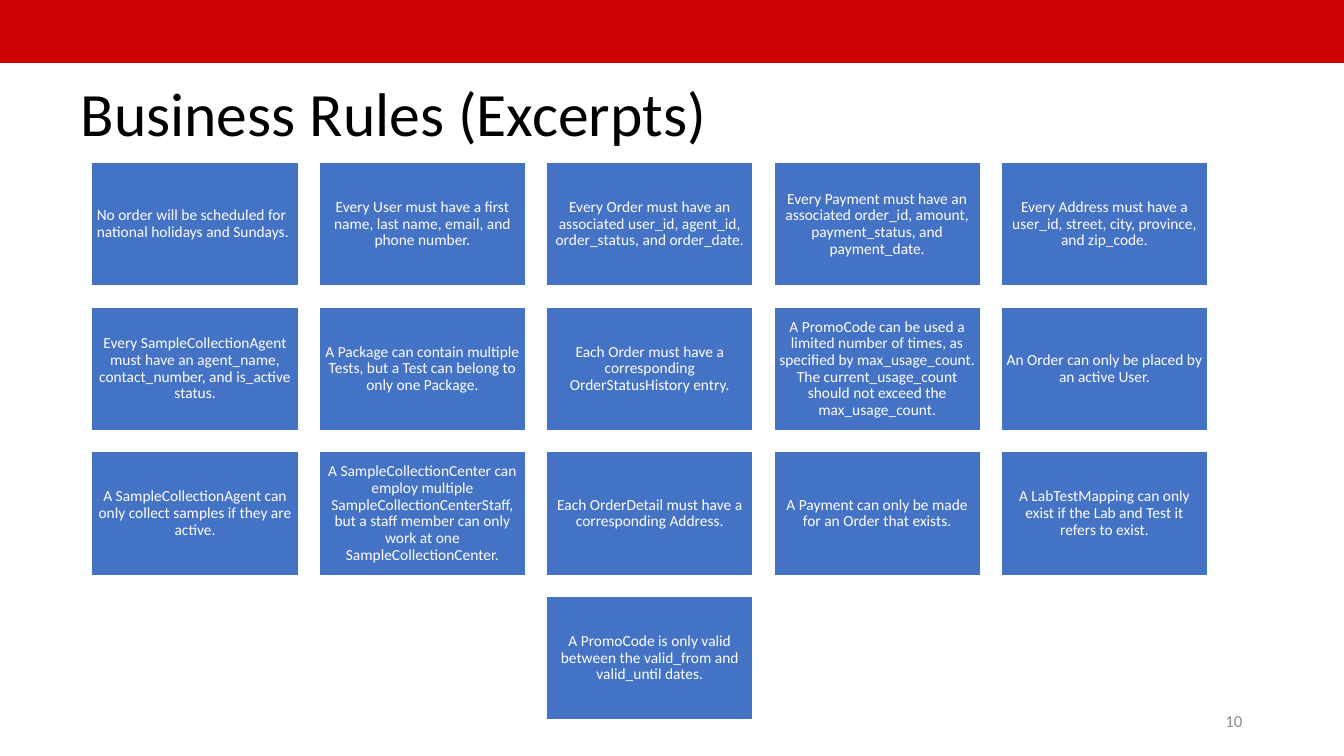
from dataclasses import dataclass

from pptx import Presentation
from pptx import util as u
from pptx.dml.color import RGBColor
from pptx.enum import shapes, text

WIDTH, HEIGHT = 13.33, 7.5
RED, BLUE, WHITE, BLACK, GREY = "CD0002", "4472C4", "FFFFFF", "000000", "8C8C8C"
LEFT, CENTER, RIGHT = text.PP_ALIGN.LEFT, text.PP_ALIGN.CENTER, text.PP_ALIGN.RIGHT

COLUMNS = 5
GRID_LEFT, GRID_TOP = 0.91, 1.61
CARD_WIDTH, CARD_HEIGHT = 2.05, 1.23
GAP = CARD_WIDTH / 10


@dataclass
class Box:
    left: float
    top: float
    width: float
    height: float

    def lengths(self) -> list[int]:
        return [u.Inches(n) for n in (self.left, self.top, self.width, self.height)]


@dataclass
class Rule:
    wording: str
    align: text.PP_ALIGN = CENTER


RULES = [
    Rule("No order will be scheduled for national holidays and Sundays.", LEFT),
    Rule("Every User must have a first name, last name, email, and phone number."),
    Rule("Every Order must have an associated user_id, agent_id, order_status, and order_date."),
    Rule("Every Payment must have an associated order_id, amount, payment_status, and payment_date."),
    Rule("Every Address must have a user_id, street, city, province, and zip_code."),
    Rule("Every SampleCollectionAgent must have an agent_name, contact_number, and is_active status."),
    Rule("A Package can contain multiple Tests, but a Test can belong to only one Package."),
    Rule("Each Order must have a corresponding OrderStatusHistory entry."),
    Rule("A PromoCode can be used a limited number of times, as specified by max_usage_count. "
         "The current_usage_count should not exceed the max_usage_count."),
    Rule("An Order can only be placed by an active User."),
    Rule("A SampleCollectionAgent can only collect samples if they are active."),
    Rule("A SampleCollectionCenter can employ multiple SampleCollectionCenterStaff, "
         "but a staff member can only work at one SampleCollectionCenter."),
    Rule("Each OrderDetail must have a corresponding Address."),
    Rule("A Payment can only be made for an Order that exists."),
    Rule("A LabTestMapping can only exist if the Lab and Test it refers to exist."),
    Rule("A PromoCode is only valid between the valid_from and valid_until dates."),
]


def color(code: str) -> RGBColor:
    return RGBColor.from_string(code)


def write(shape, wording: str, *, size: float, ink: str, align=LEFT,
          spacing: float = 1.0, inset: float | None = None) -> None:
    frame = shape.text_frame
    frame.word_wrap = True
    frame.auto_size = text.MSO_AUTO_SIZE.NONE
    frame.vertical_anchor = text.MSO_ANCHOR.MIDDLE
    if inset is not None:
        frame.margin_left = frame.margin_right = u.Inches(inset)
        frame.margin_top = frame.margin_bottom = u.Inches(inset)
    para = frame.paragraphs[0]
    para.alignment = align
    para.line_spacing = spacing
    span = para.add_run()
    span.text = wording
    span.font.name = "Calibri"
    span.font.size = u.Pt(size)
    span.font.color.rgb = color(ink)


def add_rectangle(page, box: Box, fill: str, line: str | None = None):
    shape = page.shapes.add_shape(shapes.MSO_SHAPE.RECTANGLE, *box.lengths())
    shape.shadow.inherit = False
    shape.fill.solid()
    shape.fill.fore_color.rgb = color(fill)
    if line:
        shape.line.color.rgb = color(line)
        shape.line.width = u.Pt(1)
    else:
        shape.line.fill.background()
    return shape


def card_box(index: int) -> Box:
    """Place a card in the grid, centring a row that is not full."""
    row, column = divmod(index, COLUMNS)
    in_row = min(COLUMNS, len(RULES) - row * COLUMNS)
    column += (COLUMNS - in_row) / 2
    return Box(GRID_LEFT + column * (CARD_WIDTH + GAP),
               GRID_TOP + row * (CARD_HEIGHT + GAP), CARD_WIDTH, CARD_HEIGHT)


def add_title(page, wording: str, box: Box) -> None:
    title = page.shapes.title
    title.left, title.top, title.width, title.height = box.lengths()
    write(title, wording, size=44, ink=BLACK, spacing=0.9)


def main() -> None:
    deck = Presentation()
    deck.slide_width, deck.slide_height = u.Inches(WIDTH), u.Inches(HEIGHT)
    page = deck.slides.add_slide(deck.slide_layouts.get_by_name("Title Only"))

    banner = add_rectangle(page, Box(0, 0, WIDTH, HEIGHT / 12), RED)
    add_title(page, "Business Rules (Excerpts)", Box(0.7, 0.43, 11.5, 1.45))
    banner.element.addnext(page.shapes.title.element)

    for index, rule in enumerate(RULES):
        card = add_rectangle(page, card_box(index), BLUE, WHITE)
        write(card, rule.wording, size=11, ink=WHITE, align=rule.align,
              spacing=0.9, inset=0.05)

    number = page.shapes.add_textbox(*Box(9.42, 6.95, 3, 0.4).lengths())
    write(number, "10", size=12, ink=GREY, align=RIGHT)

    deck.save("out.pptx")


if __name__ == "__main__":
    main()
